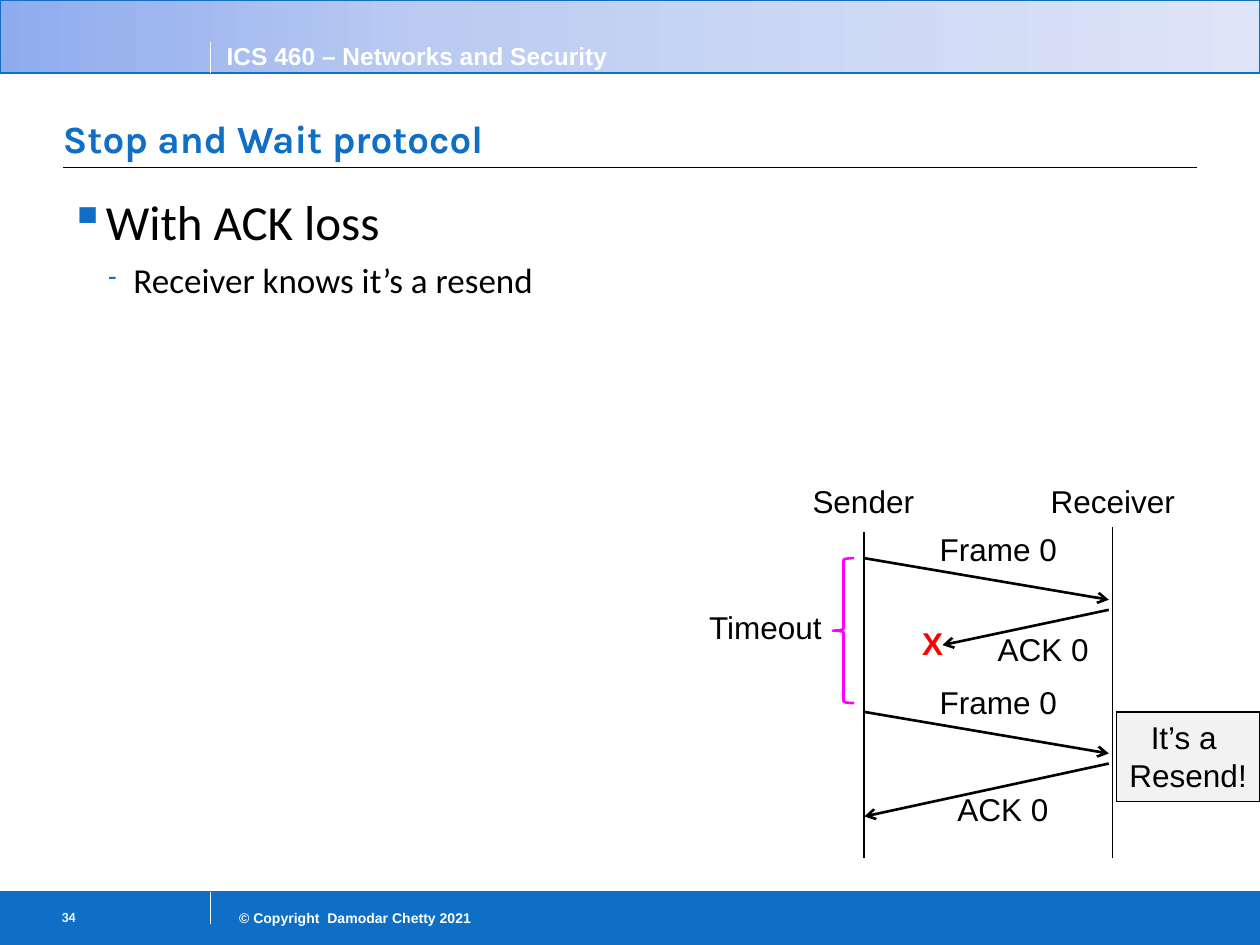
import copy
import pptx
import pptx.util
import pptx.dml.color
import pptx.enum.shapes
import pptx.enum.text
import pptx.oxml.ns
import lxml.etree

Inches, Pt = pptx.util.Inches, pptx.util.Pt
RGBColor = pptx.dml.color.RGBColor
SHAPE = pptx.enum.shapes.MSO_SHAPE
ALIGN = pptx.enum.text.PP_ALIGN
ANCHOR = pptx.enum.text.MSO_ANCHOR
qn = pptx.oxml.ns.qn

BLUE = RGBColor(0x0F, 0x6F, 0xC6)
WHITE = RGBColor(0xFF, 0xFF, 0xFF)
BLACK = RGBColor(0, 0, 0)
RED = RGBColor(0xFF, 0, 0)
MAGENTA = RGBColor(0xFF, 0, 0xFF)
PALE_GRAY = RGBColor(0xF2, 0xF2, 0xF2)
HEADER_STOPS = [(0, RGBColor(0x8E, 0xAB, 0xEE)),
                (0.34, RGBColor(0xBB, 0xCB, 0xF2)),
                (1, RGBColor(0xDE, 0xE5, 0xF8))]

deck = pptx.Presentation()
deck.slide_width, deck.slide_height = Inches(10), Inches(7.5)
page = deck.slides.add_slide(deck.slide_layouts[6])


def add_line(x1, y1, x2, y2, color, width, arrow=False):
    line = page.shapes.add_connector(
        pptx.enum.shapes.MSO_CONNECTOR.STRAIGHT,
        Inches(x1), Inches(y1), Inches(x2), Inches(y2))
    line.line.color.rgb = color
    line.line.width = Pt(width)
    properties = line._element.spPr
    if arrow:
        lxml.etree.SubElement(properties.find(qn("a:ln")), qn("a:tailEnd"), type="arrow")
    lxml.etree.SubElement(properties, qn("a:effectLst"))


def add_text(at, text, size, color, font="Arial", bold=False, align=ALIGN.LEFT,
             wrap=True, insets=(0.1, 0.05, 0.1, 0.05), anchor=ANCHOR.TOP):
    box = page.shapes.add_textbox(*map(Inches, at))
    frame = box.text_frame
    frame.word_wrap = wrap
    frame.vertical_anchor = anchor
    (frame.margin_left, frame.margin_top,
     frame.margin_right, frame.margin_bottom) = map(Inches, insets)
    for index, words in enumerate(text.split("\n")):
        para = frame.add_paragraph() if index else frame.paragraphs[0]
        para.alignment = align
        span = para.add_run()
        span.text = words
        span.font.name, span.font.size = font, Pt(size)
        span.font.bold, span.font.color.rgb = bold, color
    return box


# Footer and header bands
for top, height in [(7.08, 0.42), (0, 0.58)]:
    band = page.shapes.add_shape(SHAPE.RECTANGLE, 0, Inches(top), Inches(10), Inches(height))
    band.shadow.inherit = False
    band.line.color.rgb = BLUE
    band.line.width = Pt(0.75)
    if top:
        band.fill.solid()
        band.fill.fore_color.rgb = BLUE
    else:
        band.fill.gradient()
        band.fill.gradient_angle = 0
        stop_list = band._element.spPr.find(".//" + qn("a:gsLst"))
        stop_list.append(copy.deepcopy(stop_list[0]))
        for stop, (position, color) in zip(band.fill.gradient_stops, HEADER_STOPS):
            stop.position, stop.color.rgb = position, color

# Rules and dividers
for y in (0.58, 7.08):
    add_line(0, y, 10, y, BLUE, 0.5)
for y1, y2 in [(7.33, 7.08), (0.58, 0.33)]:
    add_line(1.67, y1, 1.67, y2, WHITE, 0.75)
add_line(0.5, 1.33, 9.5, 1.33, BLACK, 0.75)

# Header, footer and title text
add_text((1.67, 7.17, 2.17, 0.24), "© Copyright  Damodar Chetty 2021", 8, WHITE,
         bold=True, align=ALIGN.RIGHT)
add_text((1.7, 0.28, 4.05, 0.34), "ICS 460 – Networks and Security", 14, WHITE, bold=True)
add_text((0.33, 7.14, 1.33, 0.35), "34", 8, WHITE, "Calibri", True,
         insets=(0.16, 0.07, 0.1, 0.05))
add_text((0.5, 0.61, 9, 0.72), "Stop and Wait protocol", 22, BLUE, "Karla", True,
         insets=(0, 0.05, 0, 0.05), anchor=ANCHOR.BOTTOM)

# Bulleted body
body = page.shapes.add_textbox(Inches(0.5), Inches(1.45), Inches(9), Inches(5.39)).text_frame
body.word_wrap = True
body.margin_left = body.margin_right = Inches(0.05)
bullets = [("With ACK loss", 28, 0, 0.21, -0.21, "▪", 100, 0),
           ("Receiver knows it’s a resend", 20, 1, 0.51, -0.2, "-", 70, 4)]
for index, (words, size, level, margin, indent, mark, percent, before) in enumerate(bullets):
    para = body.add_paragraph() if index else body.paragraphs[0]
    para.level = level
    para.line_spacing = 1.04
    para.space_before = Pt(before)
    properties = para._p.get_or_add_pPr()
    properties.set("marL", str(Inches(margin)))
    properties.set("indent", str(Inches(indent)))
    bullet_color = lxml.etree.SubElement(properties, qn("a:buClr"))
    lxml.etree.SubElement(bullet_color, qn("a:srgbClr"), val=str(BLUE))
    lxml.etree.SubElement(properties, qn("a:buSzPct"), val=str(percent * 1000))
    lxml.etree.SubElement(properties, qn("a:buChar"), char=mark)
    span = para.add_run()
    span.text = words
    span.font.name, span.font.size = "Calibri", Pt(size)
    span.font.color.rgb = BLACK

# Sender and receiver timelines
add_line(6.86, 4.22, 6.86, 6.81, BLACK, 1)
add_line(8.83, 4.18, 8.83, 6.81, BLACK, 1)

# Messages: the first ACK is lost, the second arrives
for start, ack_x, ack_drop in [(4.43, 7.48, 0.28), (5.65, 6.86, 0.42)]:
    add_line(6.86, start, 8.8, start + 0.33, BLACK, 1.5, arrow=True)
    add_line(8.8, start + 0.41, ack_x, start + 0.41 + ack_drop, BLACK, 1.5, arrow=True)

# Timeout brace
brace = page.shapes.add_shape(SHAPE.LEFT_BRACE, Inches(6.61), Inches(4.43),
                              Inches(0.17), Inches(1.15))
brace.shadow.inherit = False
brace.fill.background()
brace.line.color.rgb = MAGENTA
brace.line.width = Pt(1.5)

# Diagram labels
labels = [("Sender", 6.35, 3.78, 1.02), ("Receiver", 8.24, 3.78, 1.2),
          ("Frame 0", 7.36, 4.16, 1.14), ("ACK 0", 7.82, 4.95, 0.93),
          ("Frame 0", 7.36, 5.37, 1.14), ("ACK 0", 7.5, 6.22, 0.93),
          ("Timeout", 5.53, 4.78, 1.1)]
for words, left, top, width in labels:
    add_text((left, top, width, 0.4), words, 18, BLACK, wrap=False)
add_text((7.22, 4.9, 0.37, 0.4), "X", 18, RED, bold=True, wrap=False)

# Resend callout
callout = add_text((8.86, 5.65, 1.14, 0.71), "It’s a \nResend!", 18, BLACK,
                   align=ALIGN.CENTER, wrap=False)
callout.fill.solid()
callout.fill.fore_color.rgb = PALE_GRAY
callout.line.color.rgb = BLACK
callout.line.width = Pt(0.75)

deck.save("out.pptx")
